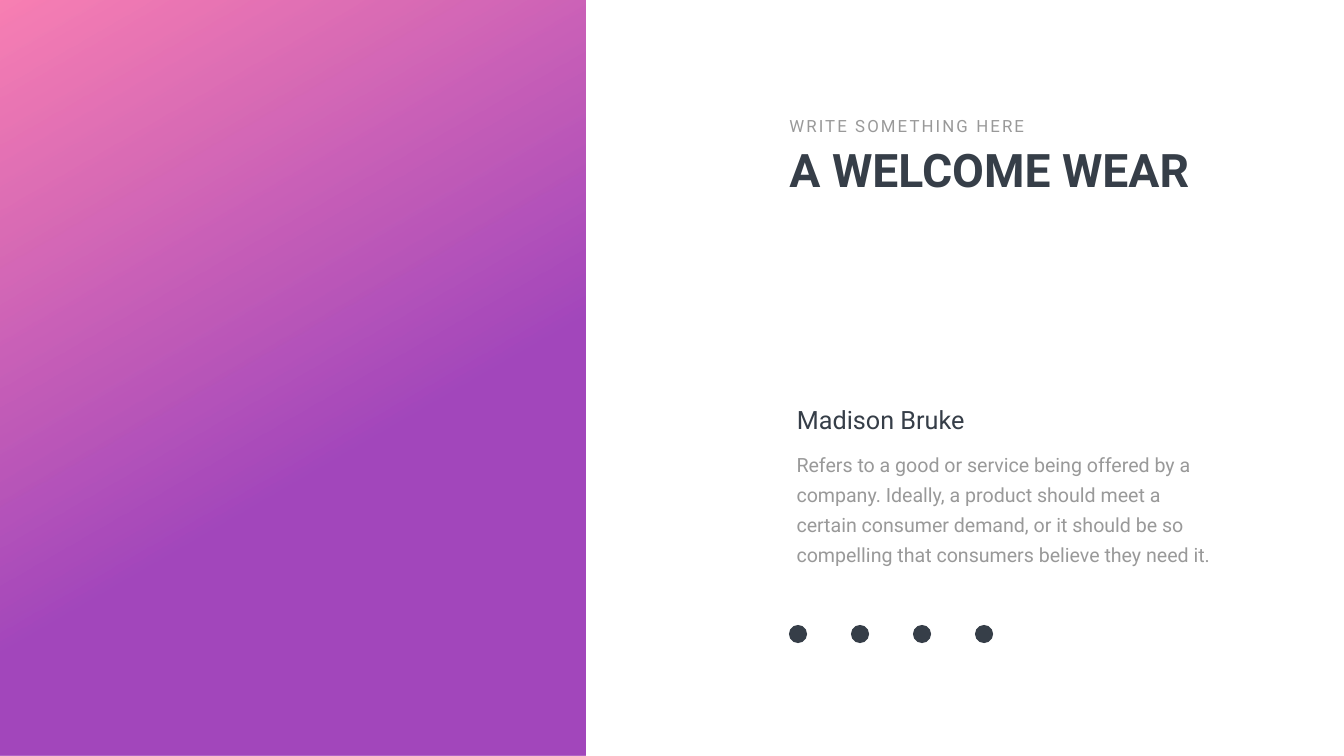
from dataclasses import dataclass

import pptx
import pptx.util
import pptx.dml.color
import pptx.enum.shapes
import pptx.enum.text
import pptx.oxml.ns
import lxml.etree

Inches = pptx.util.Inches
Pt = pptx.util.Pt
RGB = pptx.dml.color.RGBColor.from_string
Shape = pptx.enum.shapes.MSO_SHAPE
qn = pptx.oxml.ns.qn


@dataclass(frozen=True)
class Theme:
    """Colours, font and type sizes of the slide."""
    pink: str = "F761A0"
    plum: str = "8C1BAB"
    dark: str = "363E48"
    grey: str = "999999"
    font: str = "Roboto"
    title: int = 66
    name: int = 36
    body: int = 28
    label: int = 24


THEME = Theme()


def write(shape, text, size, color, bold=False):
    """Fill a shape with one left-aligned paragraph and return it."""
    frame = shape.text_frame
    frame.word_wrap = True
    frame.auto_size = pptx.enum.text.MSO_AUTO_SIZE.NONE
    frame.vertical_anchor = pptx.enum.text.MSO_ANCHOR.TOP
    frame.text = text
    line = frame.paragraphs[0]
    line.alignment = pptx.enum.text.PP_ALIGN.LEFT
    line.font.name = THEME.font
    line.font.size = Pt(size)
    line.font.bold = bold
    line.font.color.rgb = RGB(color)
    return line


def add_text(slide, left, top, width, height, *style):
    """Add a text box at the given place and return its paragraph."""
    box = slide.shapes.add_textbox(
        Inches(left), Inches(top), Inches(width), Inches(height))
    return write(box, *style)


def add_panel(slide, left, top, width, height):
    """Add the panel with a slanted, partly clear gradient."""
    panel = slide.shapes.add_shape(
        Shape.RECTANGLE, Inches(left), Inches(top), Inches(width), Inches(height))
    panel.shadow.inherit = False
    panel.line.fill.background()
    panel.fill.gradient()
    panel.fill.gradient_angle = 300
    stops = zip(panel.fill.gradient_stops, (THEME.pink, THEME.plum), (0, 0.6))
    for stop, color, place in stops:
        stop.color.rgb = RGB(color)
        stop.position = place
    for color in panel._element.spPr.iter(qn("a:srgbClr")):
        lxml.etree.SubElement(color, qn("a:alpha")).set("val", "80000")


def add_head(slide, left, top, width):
    """Place the spaced label and the title below it."""
    label = add_text(slide, left, top, 5, 0.5,
                     "WRITE SOMETHING HERE", THEME.label, THEME.grey)
    label.runs[0]._r.get_or_add_rPr().set("spc", "300")
    title = slide.shapes.title
    title.left, title.top = Inches(left), Inches(top + 0.51)
    title.width, title.height = Inches(width), Inches(1.21)
    write(title, "A WELCOME WEAR", THEME.title, THEME.dark, True)


def add_bio(slide, left, top, width):
    """Place the name and the text about the person."""
    add_text(slide, left + 0.15, top, 5.67, 0.71,
             "Madison Bruke", THEME.name, THEME.dark)
    body = add_text(
        slide, left, top + 0.75, width, 2.6,
        "Refers to a good or service being offered by a company. "
        "Ideally, a product should meet a certain consumer demand, or it "
        "should be so compelling that consumers believe they need it.",
        THEME.body, THEME.grey)
    body.line_spacing = Pt(43)
    frame = slide.shapes[-1].text_frame
    frame.margin_left = frame.margin_right = Inches(0.24)
    frame.margin_top = frame.margin_bottom = Inches(0.12)


def add_icons(slide, left, top, size, step, count):
    """Place an evenly spaced row of plain round icons."""
    for spot in range(count):
        icon = slide.shapes.add_shape(
            Shape.OVAL, Inches(left + spot * step), Inches(top),
            Inches(size), Inches(size))
        icon.shadow.inherit = False
        icon.fill.solid()
        icon.fill.fore_color.rgb = RGB(THEME.dark)
        icon.line.fill.background()


def main():
    """Build the slide and save it."""
    deck = pptx.Presentation()
    deck.slide_width, deck.slide_height = Inches(26.66), Inches(15)
    slide = deck.slides.add_slide(deck.slide_layouts.get_by_name("Title Only"))
    add_panel(slide, 0, 0, 11.61, 15)
    add_head(slide, 15.56, 2.25, 8.95)
    add_bio(slide, 15.56, 7.98, 8.95)
    add_icons(slide, 15.65, 12.4, 0.36, 1.23, 4)
    deck.save("out.pptx")


if __name__ == "__main__":
    main()
